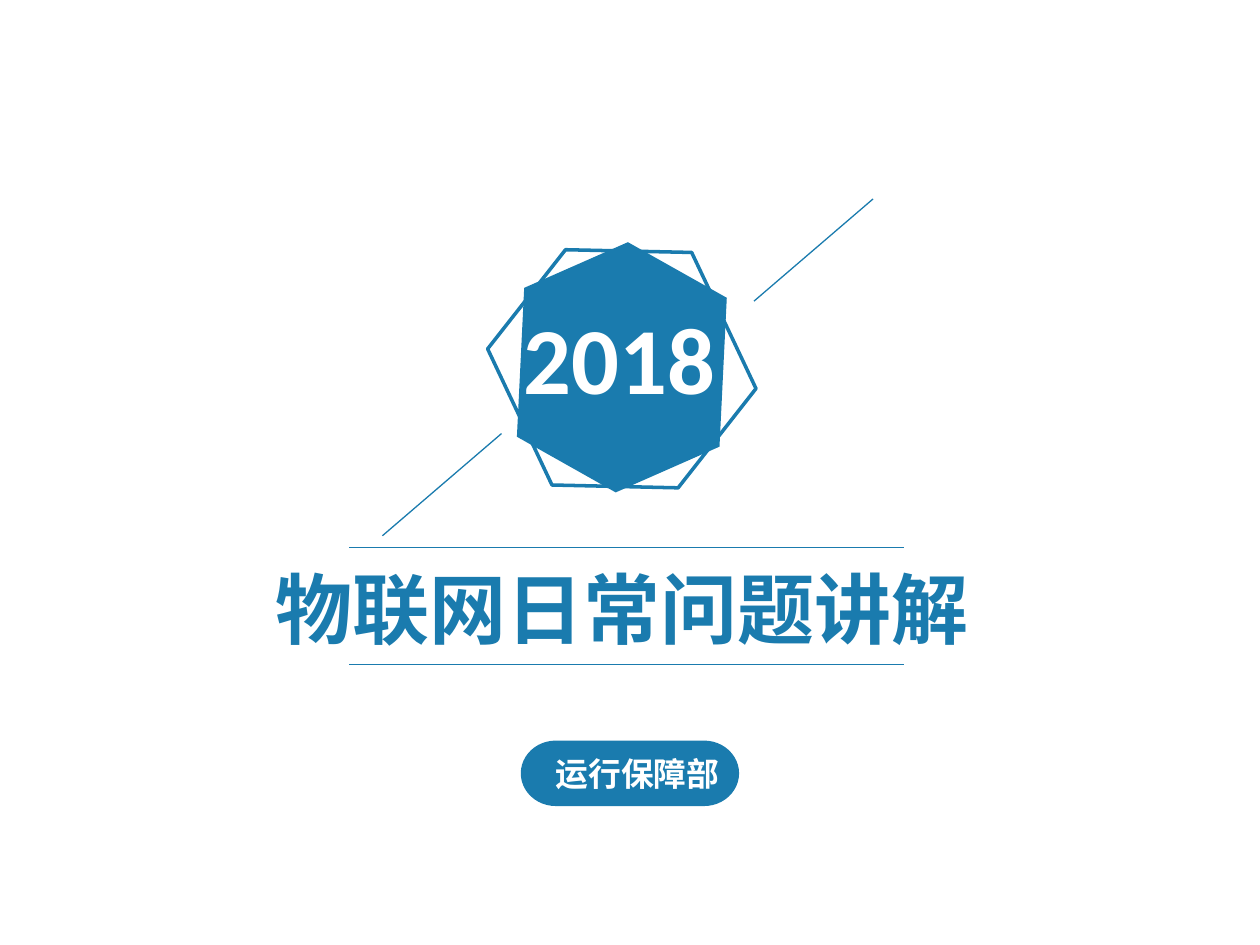
from dataclasses import dataclass

from lxml import etree
from pptx import Presentation
from pptx.dml.color import RGBColor
from pptx.enum.shapes import MSO_CONNECTOR, MSO_SHAPE
from pptx.enum.text import MSO_ANCHOR, MSO_AUTO_SIZE, PP_ALIGN
from pptx.oxml.ns import qn
from pptx.util import Cm, Pt

STRAIGHT = MSO_CONNECTOR.STRAIGHT
HEXAGON = MSO_SHAPE.HEXAGON
PILL = MSO_SHAPE.FLOWCHART_TERMINATOR
TOP = MSO_ANCHOR.TOP
NO_AUTOFIT = MSO_AUTO_SIZE.NONE
LEFT = PP_ALIGN.LEFT
TITLE_ONLY = 5


@dataclass(frozen=True)
class Theme:
    """Colours, type sizes and line widths of the cover."""

    font: str = "Calibri"
    blue: RGBColor = RGBColor(0x1A, 0x7B, 0xAE)
    white: RGBColor = RGBColor(0xFF, 0xFF, 0xFF)
    title_size: float = 44
    year_size: float = 54
    label_size: float = 18.7
    rule_width: float = 0.75
    outline_width: float = 2


THEME = Theme()


def apply_format(target, values):
    """Set every attribute in values on target."""
    for attribute, value in values.items():
        setattr(target, attribute, value)


def place(element, box):
    """Move and size an element to a box in centimetres."""
    lengths = map(Cm, box)
    apply_format(element, dict(zip(("left", "top", "width", "height"), lengths)))


def write_text(element, text, size, color, wrap):
    """Write one bold, left-aligned paragraph."""
    frame = element.text_frame
    apply_format(frame, {
        "text": text, "word_wrap": wrap, "auto_size": NO_AUTOFIT,
        "vertical_anchor": TOP,
        "margin_left": Cm(0.25), "margin_right": Cm(0.25),
        "margin_top": Cm(0.13), "margin_bottom": Cm(0.13),
    })
    paragraph = frame.paragraphs[0]
    paragraph.alignment = LEFT
    font = paragraph.runs[0].font
    apply_format(font, {"name": THEME.font, "size": Pt(size), "bold": True})
    font.color.rgb = color


def add_label(shapes, box, text, size, wrap=False):
    """Add white text in a box of its own."""
    label = shapes.add_textbox(*map(Cm, box))
    write_text(label, text, size, THEME.white, wrap)


def add_blue_shape(shapes, kind, box, rotation=0, filled=True):
    """Add a blue preset shape, either solid or outlined."""
    shape = shapes.add_shape(kind, *map(Cm, box))
    shape.rotation = rotation
    shape.shadow.inherit = False
    if filled:
        shape.fill.solid()
        shape.fill.fore_color.rgb = THEME.blue
        shape.line.fill.background()
    else:
        shape.fill.background()
        shape.line.color.rgb = THEME.blue
        shape.line.width = Pt(THEME.outline_width)


def add_rule(shapes, start, end):
    """Add a thin blue line between two points in centimetres."""
    rule = shapes.add_connector(STRAIGHT, *map(Cm, start + end))
    rule.line.color.rgb = THEME.blue
    rule.line.width = Pt(THEME.rule_width)
    etree.SubElement(rule.element.spPr, qn("a:effectLst"))


def add_title(shapes):
    """Fill the title placeholder between two horizontal rules."""
    title = shapes.title
    place(title, (5.31, 11.18, 14.66, 2.13))
    write_text(title, "物联网日常问题讲解", THEME.title_size, THEME.blue, False)
    for y in (11.04, 13.4):
        add_rule(shapes, (7.04, y), (18.22, y))


def add_department(shapes):
    """Group the department name with its pill."""
    department = shapes.add_group_shape().shapes
    add_blue_shape(department, PILL, (10.5, 14.93, 4.4, 1.32))
    add_label(department, (10.95, 15.06, 3.84, 1.07), "运行保障部", THEME.label_size)


def add_year_badge(shapes):
    """Add the year on two tilted hexagons with a diagonal on each side."""
    add_blue_shape(shapes, HEXAGON, (10.01, 5.36, 5.05, 4.09), 92.8)
    add_blue_shape(shapes, HEXAGON, (9.88, 5.16, 5.31, 4.55), 64.7, filled=False)
    add_label(shapes, (10.31, 5.92, 5.13, 2.57), "2018", THEME.year_size, wrap=True)
    run, rise = 2.4, 2.06
    for x, y in ((17.6, 4.01), (10.11, 8.74)):
        add_rule(shapes, (x, y), (x - run, y + rise))


def main():
    """Build and save the cover slide."""
    deck = Presentation()
    apply_format(deck, {"slide_width": Cm(25.4), "slide_height": Cm(19.05)})
    shapes = deck.slides.add_slide(deck.slide_layouts[TITLE_ONLY]).shapes
    add_title(shapes)
    add_department(shapes)
    add_year_badge(shapes)
    deck.save("out.pptx")


if __name__ == "__main__":
    main()
